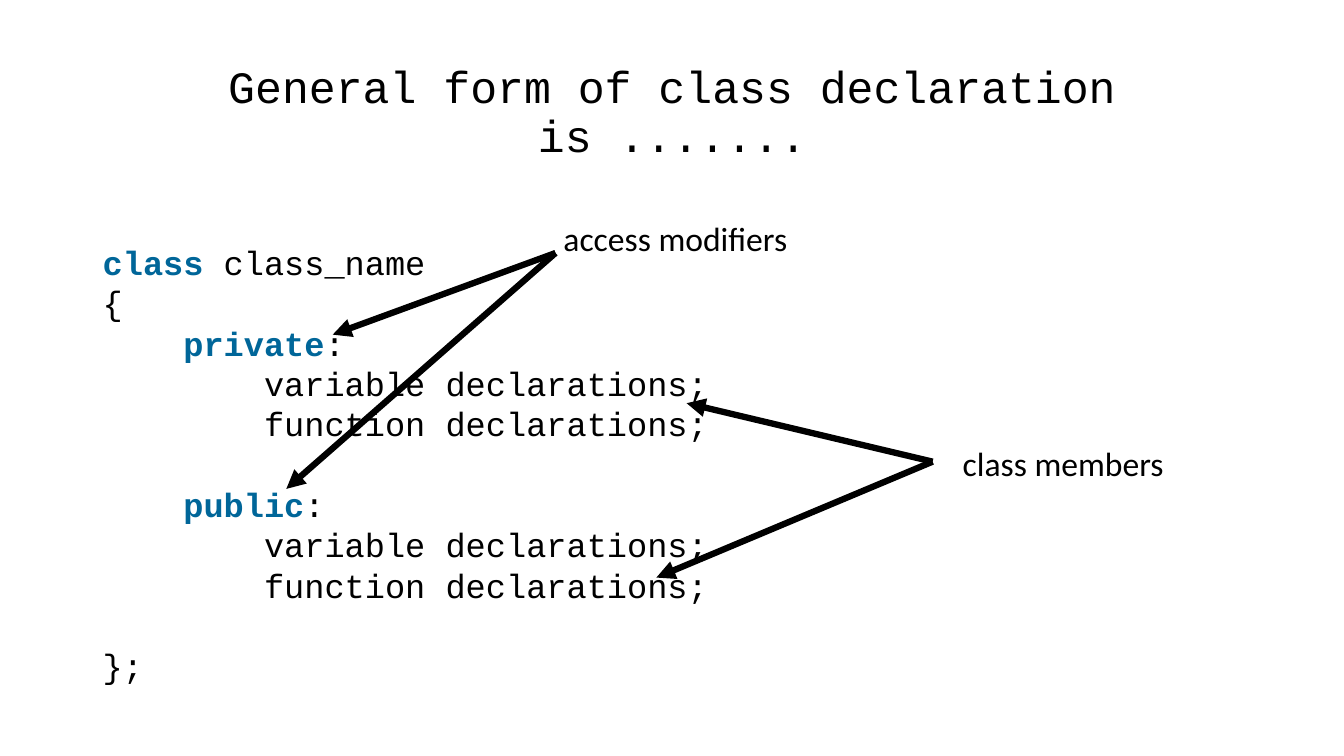
from lxml.etree import SubElement
from pptx import Presentation
from pptx.dml.color import RGBColor
from pptx.enum.shapes import MSO_CONNECTOR
from pptx.enum.text import MSO_ANCHOR, PP_ALIGN
from pptx.oxml.ns import qn
from pptx.util import Inches, Pt

BLACK, BLUE = "000000", "006699"
MONO, SANS = "Courier New", "Calibri"
LINE = 28.8
TAB = 0.8


def color(code):
    return RGBColor.from_string(code)


def apply(item, style):
    for name, value in style.items():
        setattr(item, name, value)


class Board:
    def __init__(self, slide):
        self.slide = slide
        self.font = {"name": SANS, "size": Pt(24), "bold": False}
        self.frame = {"word_wrap": True, "vertical_anchor": MSO_ANCHOR.TOP}

    def box(self, place, **frame):
        shape = self.slide.shapes.add_textbox(*map(Inches, place))
        apply(shape.text_frame, {**self.frame, **frame})
        return shape.text_frame

    def run(self, para, text, ink=BLACK, **font):
        run = para.add_run()
        run.text = text
        apply(run.font, {**self.font, **font})
        run.font.color.rgb = color(ink)

    def title(self, place, text):
        para = self.box(place, vertical_anchor=MSO_ANCHOR.MIDDLE).paragraphs[0]
        apply(para, {"alignment": PP_ALIGN.CENTER, "line_spacing": 0.9})
        self.run(para, text, name=MONO, size=Pt(32))

    def label(self, place, text):
        self.run(self.box(place).paragraphs[0], text)

    def code(self, place, lines):
        frame = self.box(place, margin_top=Inches(0.08))
        for index, (depth, gap, key, rest) in enumerate(lines):
            para = frame.add_paragraph() if index else frame.paragraphs[0]
            apply(para, {"line_spacing": Pt(LINE), "space_before": Pt(gap * LINE)})
            para._p.get_or_add_pPr().set("marL", str(Inches(depth * TAB)))
            if key:
                self.run(para, key, BLUE, name=MONO, bold=True)
            self.run(para, rest, name=MONO)

    def arrow(self, start, end):
        ends = map(Inches, start + end)
        link = self.slide.shapes.add_connector(MSO_CONNECTOR.STRAIGHT, *ends)
        link.line.width = Pt(4.5)
        link.line.color.rgb = color(BLACK)
        SubElement(link.line._get_or_add_ln(), qn("a:tailEnd"), type="triangle")
        SubElement(link._element.spPr, qn("a:effectLst"))


def main():
    deck = Presentation()
    apply(deck, {"slide_width": Inches(13.33), "slide_height": Inches(7.5)})
    board = Board(deck.slides.add_slide(deck.slide_layouts[6]))

    board.title((0.92, 0.4, 11.5, 1.45),
                "General form of class declaration is .......")
    body = [(2, 0, "", "variable declarations;"),
            (2, 0, "", "function declarations;")]
    board.code((0.92, 2.32, 9.58, 4.54), [
        (0, 0, "class", " class_name"),
        (0, 0, "", "{"),
        (1, 0, "private", ":"),
        *body,
        (1, 1, "public", ":"),
        *body,
        (0, 1, "", "};"),
    ])

    notes = [
        ("access modifiers", (5.49, 2.11), (5.51, 2.51), [(2.84, 4.85), (3.3, 3.32)]),
        ("class members", (9.45, 4.34), (9.25, 4.58), [(6.51, 5.73), (6.81, 4)]),
    ]
    for text, corner, start, goals in notes:
        for goal in goals:
            board.arrow(start, goal)
        board.label(corner + (2.55, 0.5), text)

    deck.save("out.pptx")


if __name__ == "__main__":
    main()
